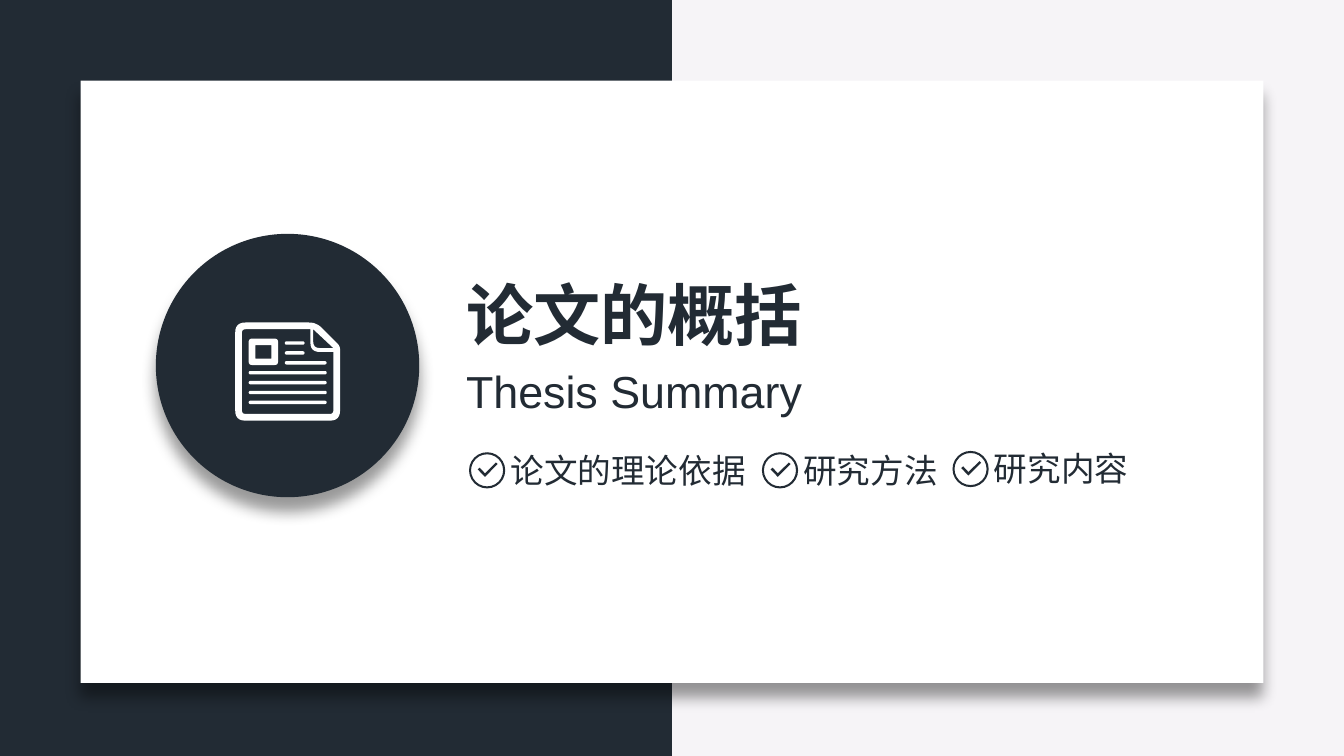
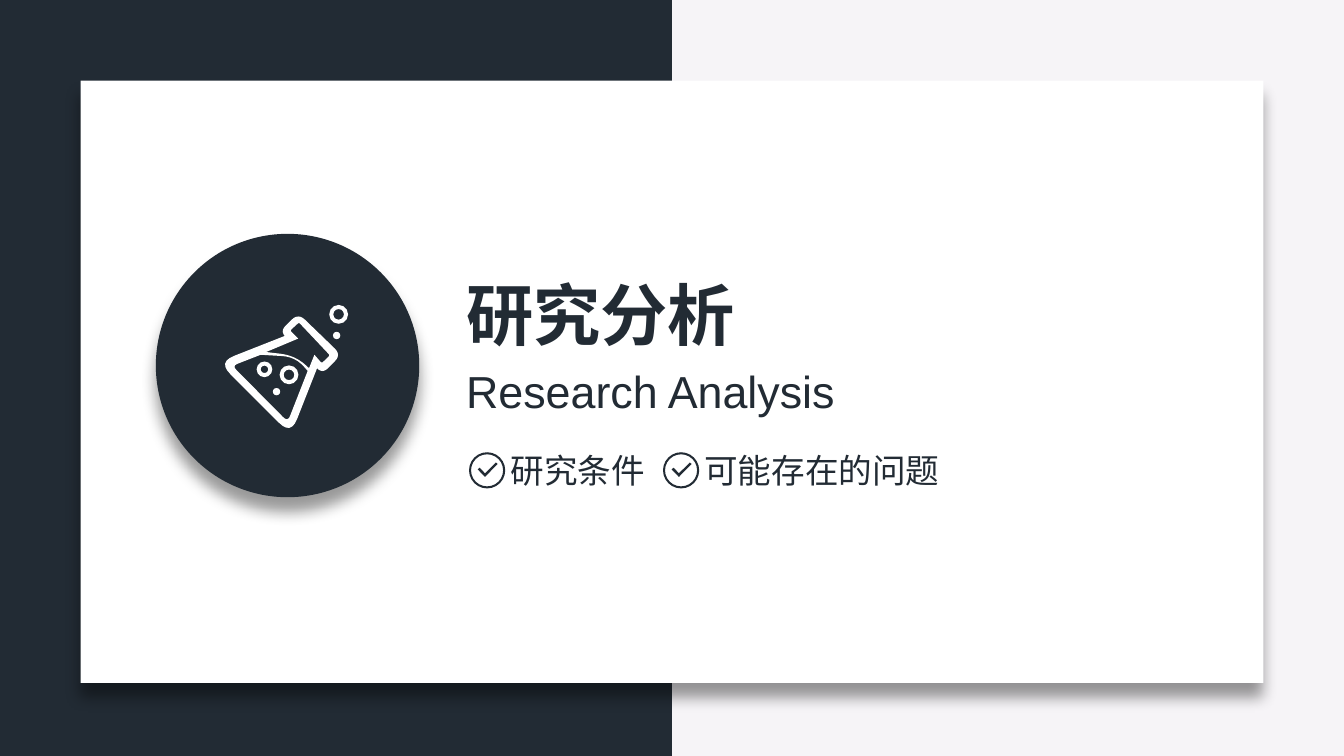
from lxml import etree
from pptx import Presentation, util as u
from pptx.dml.color import RGBColor
from pptx.enum import shapes, text
from pptx.oxml import ns

Pt = u.Pt
KIND = shapes.MSO_SHAPE
COLORS = {"ink": "222B34", "paper": "F6F4F7", "card": "FFFFFF", "shadow": "000000"}
FONTS = {"zh": "Noto Sans CJK SC", "en": "Arial"}
W, H = 720, 405
FRAME = dict(word_wrap=False, auto_size=text.MSO_AUTO_SIZE.SHAPE_TO_FIT_TEXT)


def rgb(name):
    return RGBColor.from_string(COLORS[name])


def rounded(corners, steps=6):
    """Turn corners (x, y, cut) into points, with a curve where cut > 0."""
    pts = []
    for i, (x, y, cut) in enumerate(corners):
        if not cut:
            pts.append((x, y))
            continue
        ends = []
        for nx, ny, _ in (corners[i - 1], corners[(i + 1) % len(corners)]):
            k = cut / ((nx - x) ** 2 + (ny - y) ** 2) ** 0.5
            ends.append((x + (nx - x) * k, y + (ny - y) * k))
        (ax, ay), (bx, by) = ends
        for t in (s / steps for s in range(steps + 1)):
            a, m, b = (1 - t) ** 2, 2 * t * (1 - t), t * t
            pts.append((a * ax + m * x + b * bx, a * ay + m * y + b * by))
    return pts


class Deck:
    def __init__(self):
        self.prs = Presentation()
        self.prs.slide_width, self.prs.slide_height = Pt(W), Pt(H)
        self.s = self.parent = None

    def slide(self):
        self.s = self.prs.slides.add_slide(self.prs.slide_layouts[6])
        self.parent = self.s.shapes
        fill = self.s.background.fill
        fill.solid()
        fill.fore_color.rgb = rgb("paper")

    def group(self):
        self.parent = self.s.shapes.add_group_shape().shapes

    def ungroup(self):
        self.parent = self.s.shapes

    def paint(self, sp, color):
        sp.shadow.inherit = False
        sp.fill.solid()
        sp.fill.fore_color.rgb = rgb(color)
        sp.line.fill.background()
        return sp

    def shape(self, kind, x, y, w, h, color, adj=None, shadow=False):
        sp = self.parent.add_shape(kind, Pt(x), Pt(y), Pt(w), Pt(h))
        self.paint(sp, color)
        if adj is not None:
            sp.adjustments[0] = adj
        if shadow:
            self.drop_shadow(sp)
        return sp

    def drop_shadow(self, sp):
        effects = sp._element.spPr.find(ns.qn("a:effectLst"))
        outer = etree.SubElement(effects, ns.qn("a:outerShdw"), blurRad=str(Pt(8)),
                                 dist=str(Pt(8)), dir="5400000", algn="t", rotWithShape="0")
        clr = etree.SubElement(outer, ns.qn("a:srgbClr"), val=COLORS["shadow"])
        etree.SubElement(clr, ns.qn("a:alpha"), val="40000")

    def ring(self, x, y, size, line, color):
        self.shape(KIND.DONUT, x, y, size, size, color, adj=line / size)

    def outline(self, color, *contours):
        """Draw closed contours as one shape; inner contours are holes."""
        fb = None
        for corners in contours:
            pts = [(x * 100, y * 100) for x, y in rounded(corners)]
            if fb is None:
                fb = self.parent.build_freeform(*pts[0], scale=Pt(1) / 100)
            else:
                fb.move_to(*pts[0])
            fb.add_line_segments(pts[1:], close=True)
        return self.paint(fb.convert_to_shape(), color)

    def label(self, x, y, w, h, words, size, font, bold=False):
        tf = self.parent.add_textbox(Pt(x), Pt(y), Pt(w), Pt(h)).text_frame
        for key, value in FRAME.items():
            setattr(tf, key, value)
        r = tf.paragraphs[0].add_run()
        r.text = words
        for key, value in dict(name=FONTS[font], size=Pt(size), bold=bold).items():
            setattr(r.font, key, value)
        r.font.color.rgb = rgb("ink")
        ea = etree.SubElement(r._r.get_or_add_rPr(), ns.qn("a:ea"))
        ea.set("typeface", FONTS["zh"])

    def check_item(self, x, y, words):
        self.group()
        self.ring(x, y, 19.4, 1.1, "ink")
        tick = [(4.6, 9.2), (5.7, 8.3), (8.5, 11.3), (14.4, 5.5), (15.3, 6.3), (8.5, 13.2)]
        self.outline("ink", [(x + dx, y + dy, 0) for dx, dy in tick])
        self.ungroup()
        self.label(x + 15.1, y - 5, 18 * len(words) + 15, 29, words, 18, "zh")

    def section(self, title, subtitle, sub_w, items, icon):
        self.slide()
        # Backdrop, card and badge
        self.shape(KIND.RECTANGLE, 0, 0, W / 2, H, "ink")
        self.shape(KIND.RECTANGLE, 43.2, 43.2, 633.6, 322.6, "card", shadow=True)
        self.shape(KIND.OVAL, 83.5, 125.3, 141.1, 141.1, "ink", shadow=True)
        # Headings
        self.label(242.6, 142.6, 36 * len(title) + 15.5, 51, title, 36, "zh", bold=True)
        self.label(242.6, 191.5, sub_w, 36, subtitle, 24, "en")
        # Checked topics
        for item in items:
            self.check_item(*item)
        # Icon in the badge
        self.group()
        icon(self)
        self.ungroup()


def document_icon(d):
    page = [(126, 172.8, 5.5), (169.5, 172.8, 4), (182.2, 185.5, 2),
            (182.2, 225.4, 5.5), (126, 225.4, 5.5)]
    inside = [(129.6, 176.4, 2), (166.3, 176.4, 0), (166.3, 188.6, 5),
              (178.6, 188.6, 0), (178.6, 221.8, 2), (129.6, 221.8, 2)]
    fold = [(167.8, 176.4, 0), (178.6, 186.5, 0), (167.8, 186.5, 3.5)]
    d.outline("card", page, inside, fold)
    # Text lines: two short, one medium, four full
    lines = [(152.6, 10.6)] * 2 + [(152.6, 22.4)] + [(133.2, 41.8)] * 4
    for i, (x, w) in enumerate(lines):
        d.shape(KIND.ROUNDED_RECTANGLE, x, 182.9 + 5.3 * i, w, 1.8, "card", adj=0.5)
    # Framed figure
    d.outline("card", *([(l, t, cut), (r, t, cut), (r, b, cut), (l, b, cut)]
                        for l, t, r, b, cut in ((133.2, 181.4, 149, 195.6, 2),
                                                (136.8, 184.9, 145.4, 192.1, 0))))


def flask_icon(d):
    glass = [(150.1, 177.5, 4), (159.8, 167.8, 5), (182.9, 190.1, 5), (172.8, 200.2, 4),
             (169.9, 197.3, 0), (155.9, 232.9, 9), (117, 194, 9), (152.6, 180, 0)]
    neck = [(176.8, 190.4, 1), (172.4, 194.6, 1), (168.5, 190.1, 0), (165.6, 197.3, 0),
            (158.4, 190.5, 8), (142.6, 188.6, 0), (159.8, 181.4, 0), (155.5, 177.1, 1),
            (160.2, 172.8, 1)]
    liquid = [(139.7, 190.1, 0), (158.2, 191.2, 7), (164.9, 198.7, 0),
              (154.2, 226, 3.5), (124.5, 196, 3)]
    d.outline("card", glass, neck, liquid)
    # Bubbles
    for x, y, size in ((149.8, 195.8, 10.1), (176.4, 163.4, 10.1), (137.5, 193.7, 8.4)):
        d.ring(x, y, size, 2.2, "card")
    for x, y in ((146.2, 207.9), (178.4, 177.8)):
        d.shape(KIND.OVAL, x, y, 3.9, 3.9, "card")


def main():
    d = Deck()
    d.section("论文的概括", "Thesis Summary", 196.6,
              [(251.3, 242.3, "论文的理论依据"), (408.2, 242.3, "研究方法"),
               (510.3, 241.6, "研究内容")], document_icon)
    d.section("研究分析", "Research Analysis", 213.8,
              [(251.3, 242.3, "研究条件"), (355.2, 242.3, "可能存在的问题")], flask_icon)
    d.prs.save("out.pptx")


if __name__ == "__main__":
    main()
